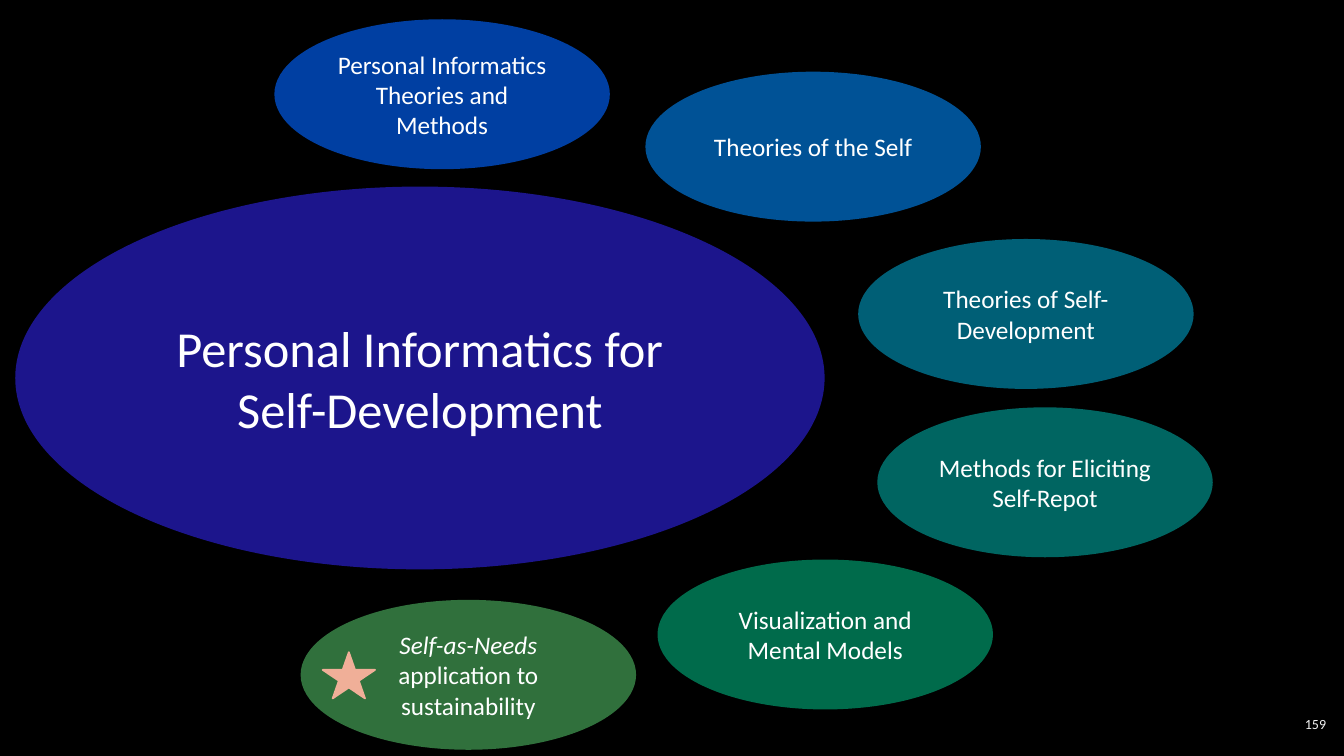
from dataclasses import dataclass

from pptx import Presentation
from pptx import util as u
from pptx.dml.color import RGBColor
from pptx.enum import shapes, text
from pptx.shapes.autoshape import Shape
from pptx.slide import Slide

BLACK = RGBColor(0x00, 0x00, 0x00)
WHITE = RGBColor(0xFF, 0xFF, 0xFF)
OFF_WHITE = RGBColor(0xF2, 0xF2, 0xF2)
INDIGO = RGBColor(0x1C, 0x15, 0x8C)
BLUE = RGBColor(0x00, 0x3F, 0xA2)
OCEAN = RGBColor(0x00, 0x52, 0x96)
PETROL = RGBColor(0x00, 0x5F, 0x76)
TEAL = RGBColor(0x00, 0x65, 0x61)
EMERALD = RGBColor(0x00, 0x6B, 0x4B)
GREEN = RGBColor(0x30, 0x70, 0x3C)
PEACH = RGBColor(0xF0, 0xAF, 0x98)

FONT = "Calibri"
OVAL = shapes.MSO_SHAPE.OVAL
STAR = shapes.MSO_SHAPE.STAR_5_POINT


@dataclass(frozen=True)
class Topic:
    left: float
    top: float
    color: RGBColor
    label: str
    emphasis: str = ""
    width: float = 3.31
    height: float = 1.47
    size: int = 18


TOPICS = [
    Topic(0.16, 1.86, INDIGO, "Personal Informatics for\nSelf-Development",
          width=8.01, height=3.78, size=36),
    Topic(2.73, 0.2, BLUE, "Personal Informatics Theories and Methods"),
    Topic(6.41, 0.72, OCEAN, "Theories of the Self"),
    Topic(8.52, 2.38, PETROL, "Theories of Self-Development"),
    Topic(8.71, 4.05, TEAL, "Methods for Eliciting Self-Repot"),
    Topic(6.53, 5.56, EMERALD, "Visualization and Mental Models"),
    Topic(2.99, 5.96, GREEN, " application to sustainability", emphasis="Self-as-Needs"),
]


def write_text(holder: Shape, content: str, *, size: int, emphasis: str = "",
               color: RGBColor = WHITE,
               align: text.PP_ALIGN = text.PP_ALIGN.CENTER) -> None:
    frame = holder.text_frame
    frame.word_wrap = True
    frame.vertical_anchor = text.MSO_ANCHOR.MIDDLE
    for index, line in enumerate(content.split("\n")):
        paragraph = frame.add_paragraph() if index else frame.paragraphs[0]
        paragraph.alignment = align
        pieces = [(emphasis, True)] if emphasis and not index else []
        for words, italic in pieces + [(line, False)]:
            run = paragraph.add_run()
            run.text = words
            run.font.name = FONT
            run.font.size = u.Pt(size)
            run.font.italic = italic
            run.font.color.rgb = color


def draw_shape(slide: Slide, kind: shapes.MSO_SHAPE, left: float, top: float,
               width: float, height: float, color: RGBColor) -> Shape:
    figure = slide.shapes.add_shape(
        kind, u.Inches(left), u.Inches(top), u.Inches(width), u.Inches(height))
    figure.shadow.inherit = False
    figure.fill.solid()
    figure.fill.fore_color.rgb = color
    figure.line.color.rgb = color
    figure.line.width = u.Pt(1.25)
    return figure


def draw_topic(slide: Slide, topic: Topic) -> None:
    bubble = draw_shape(slide, OVAL, topic.left, topic.top,
                        topic.width, topic.height, topic.color)
    write_text(bubble, topic.label, size=topic.size, emphasis=topic.emphasis)


def main() -> None:
    deck = Presentation()
    deck.slide_width = u.Inches(13.33)
    deck.slide_height = u.Inches(7.5)
    slide = deck.slides.add_slide(deck.slide_layouts[6])
    slide.background.fill.solid()
    slide.background.fill.fore_color.rgb = BLACK

    for topic in TOPICS:
        draw_topic(slide, topic)
    draw_shape(slide, STAR, 3.2, 6.47, 0.52, 0.46, PEACH)

    page_number = slide.shapes.add_textbox(
        u.Inches(12.43), u.Inches(6.98), u.Inches(0.82), u.Inches(0.4))
    write_text(page_number, "159", size=10, color=OFF_WHITE, align=text.PP_ALIGN.RIGHT)

    deck.save("out.pptx")


if __name__ == "__main__":
    main()
